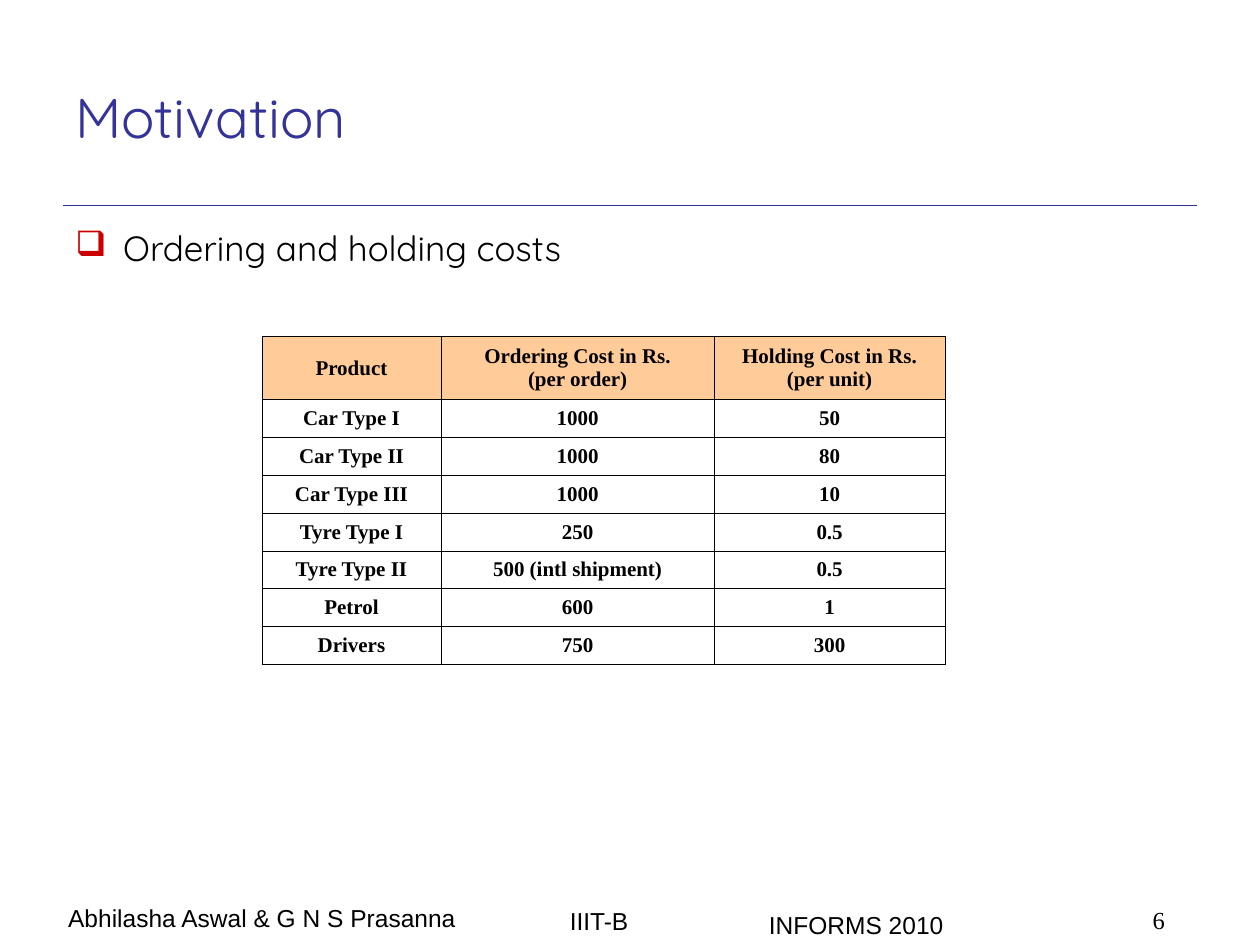
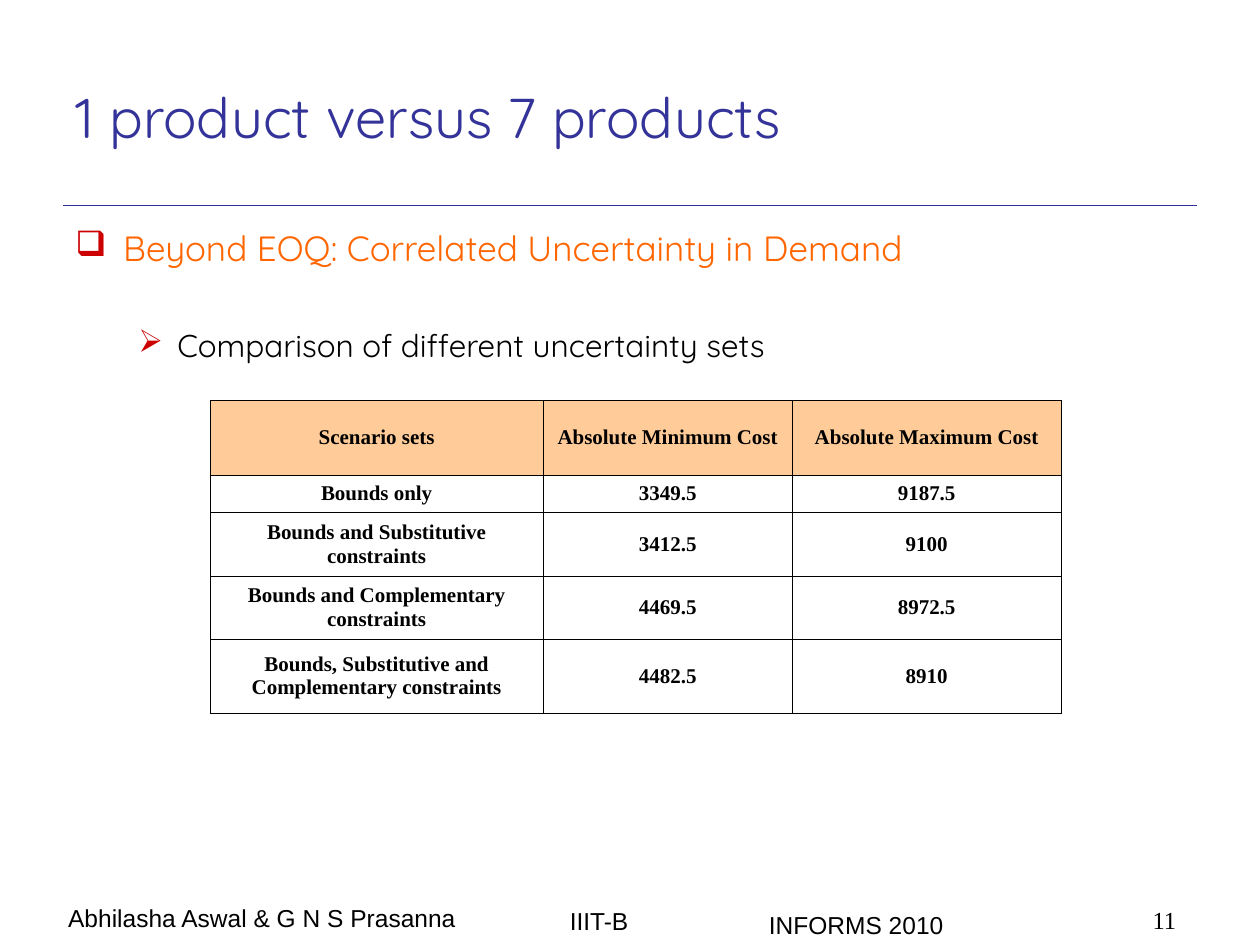
from lxml import etree
from pptx import Presentation
from pptx import util as u
from pptx.dml import color
from pptx.enum import shapes, text
from pptx.oxml import ns

INK, TITLE, RULE = "000000", "333399", "2F2F98"
BULLET, ACCENT, HEADER = "CC0000", "FF6600", "FFCC99"
SANS, SERIF, BODY = "Arial", "Times New Roman", "Quicksand"
LEFT, CENTER = text.PP_ALIGN.LEFT, text.PP_ALIGN.CENTER
TOP, MIDDLE = text.MSO_ANCHOR.TOP, text.MSO_ANCHOR.MIDDLE


def rgb(value):
    return color.RGBColor.from_string(value)


def add_run(p, words, size, font, ink=INK, bold=False):
    r = p.add_run()
    r.text = words
    r.font.size, r.font.name, r.font.bold = u.Pt(size), font, bold
    r.font.color.rgb = rgb(ink)


footers = [
    (0.33, 7.12, 3.5, 0.28, "Abhilasha Aswal & G N S Prasanna"),
    (4.17, 7.14, 1.17, 0.25, "IIIT-B"),
    (5.92, 7.17, 1.75, 0.24, "INFORMS 2010"),
]

slides = [
    {
        "number": "6",
        "title": "Motivation",
        "bullets": [("❑", 0.38, 0.38, 0, 20, INK, "Ordering and holding costs")],
        "at": (2.08, 2.67),
        "cols": [1.42, 2.17, 1.83],
        "heights": [0.5] + [0.3] * 7,
        "rows": [
            ("Product", "Ordering Cost in Rs.\n(per order)", "Holding Cost in Rs.\n(per unit)"),
            ("Car Type I", "1000", "50"),
            ("Car Type II", "1000", "80"),
            ("Car Type III", "1000", "10"),
            ("Tyre Type I", "250", "0.5"),
            ("Tyre Type II", "500 (intl shipment)", "0.5"),
            ("Petrol", "600", "1"),
            ("Drivers", "750", "300"),
        ],
    },
    {
        "number": "11",
        "title": "1 product versus 7 products",
        "bullets": [
            ("❑", 0.38, 0.38, 0, 20, ACCENT, "Beyond EOQ: Correlated Uncertainty in Demand"),
            ("➢", 0.81, 0.31, 33, 18, INK, "Comparison of different uncertainty sets"),
        ],
        "at": (1.67, 3.18),
        "cols": [2.64, 1.98, 2.13],
        "heights": [0.59, 0.3, 0.5, 0.5, 0.59],
        "rows": [
            ("Scenario sets", "Absolute Minimum Cost", "Absolute Maximum Cost"),
            ("Bounds only", "3349.5", "9187.5"),
            ("Bounds and Substitutive constraints", "3412.5", "9100"),
            ("Bounds and Complementary constraints", "4469.5", "8972.5"),
            ("Bounds, Substitutive and Complementary constraints", "4482.5", "8910"),
        ],
    },
]

prs = Presentation()
prs.slide_width, prs.slide_height = u.Inches(10), u.Inches(7.5)

for content in slides:
    s = prs.slides.add_slide(prs.slide_layouts[6])

    rule = s.shapes.add_connector(
        shapes.MSO_CONNECTOR.STRAIGHT,
        u.Inches(0.5), u.Inches(1.63), u.Inches(9.5), u.Inches(1.63))
    rule.line.color.rgb = rgb(RULE)
    rule.line.width = u.Pt(0.75)
    etree.SubElement(rule._element.spPr, ns.qn("a:effectLst"))

    boxes = [(*footer, 14, SANS, INK, CENTER, TOP) for footer in footers]
    boxes.append((9.05, 7.13, 0.83, 0.3, content["number"], 14, SERIF, INK, LEFT, TOP))
    boxes.append((0.5, 0.3, 9, 1.25, content["title"], 32, BODY, TITLE, LEFT, MIDDLE))
    for x, y, w, h, words, size, font, ink, align, anchor in boxes:
        sp = s.shapes.add_textbox(u.Inches(x), u.Inches(y), u.Inches(w), u.Inches(h))
        tf = sp.text_frame
        tf.word_wrap, tf.vertical_anchor = True, anchor
        p = tf.paragraphs[0]
        p.alignment = align
        add_run(p, words, size, font, ink)

    sp = s.shapes.add_textbox(u.Inches(0.5), u.Inches(1.75), u.Inches(9), u.Inches(5.11))
    tf = sp.text_frame
    tf.word_wrap = True
    for i, (mark, margin, hang, before, size, ink, words) in enumerate(content["bullets"]):
        p = tf.add_paragraph() if i else tf.paragraphs[0]
        pPr = p._p.get_or_add_pPr()
        pPr.set("marL", str(u.Inches(margin)))
        pPr.set("indent", str(-u.Inches(hang)))
        p.level = i
        clr = etree.SubElement(pPr, ns.qn("a:buClr"))
        etree.SubElement(clr, ns.qn("a:srgbClr"), val=BULLET)
        etree.SubElement(pPr, ns.qn("a:buChar"), char=mark)
        p.space_before = u.Pt(before)
        add_run(p, words, size, BODY, ink)

    x, y = content["at"]
    cols, heights, rows = content["cols"], content["heights"], content["rows"]
    table = s.shapes.add_table(
        len(rows), len(cols), u.Inches(x), u.Inches(y),
        u.Inches(sum(cols)), u.Inches(sum(heights))).table
    table.horz_banding = table.first_row = False
    for col, width in zip(table.columns, cols):
        col.width = u.Inches(width)
    for i, (row, height) in enumerate(zip(rows, heights)):
        table.rows[i].height = u.Inches(height)
        for j, words in enumerate(row):
            cell = table.cell(i, j)
            cell.vertical_anchor = MIDDLE
            tcPr = cell._tc.get_or_add_tcPr()
            for side in ("lnL", "lnR", "lnT", "lnB"):
                ln = etree.SubElement(tcPr, ns.qn("a:" + side), w=str(u.Pt(0.45)))
                fill = etree.SubElement(ln, ns.qn("a:solidFill"))
                etree.SubElement(fill, ns.qn("a:srgbClr"), val=INK)
            if i == 0:
                cell.fill.solid()
                cell.fill.fore_color.rgb = rgb(HEADER)
            else:
                cell.fill.background()
            tf = cell.text_frame
            for k, line in enumerate(words.split("\n")):
                p = tf.add_paragraph() if k else tf.paragraphs[0]
                p.alignment = CENTER
                add_run(p, line, 12, SERIF, bold=True)

prs.save("out.pptx")
